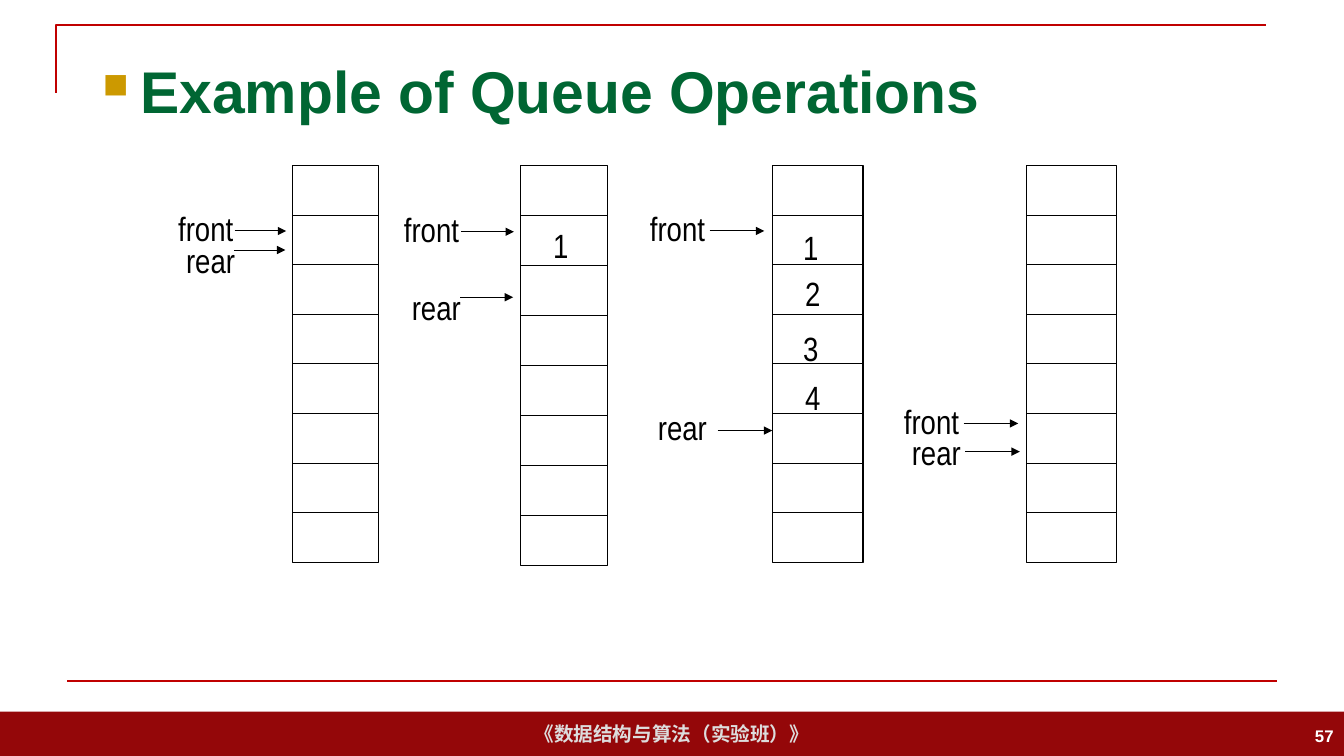
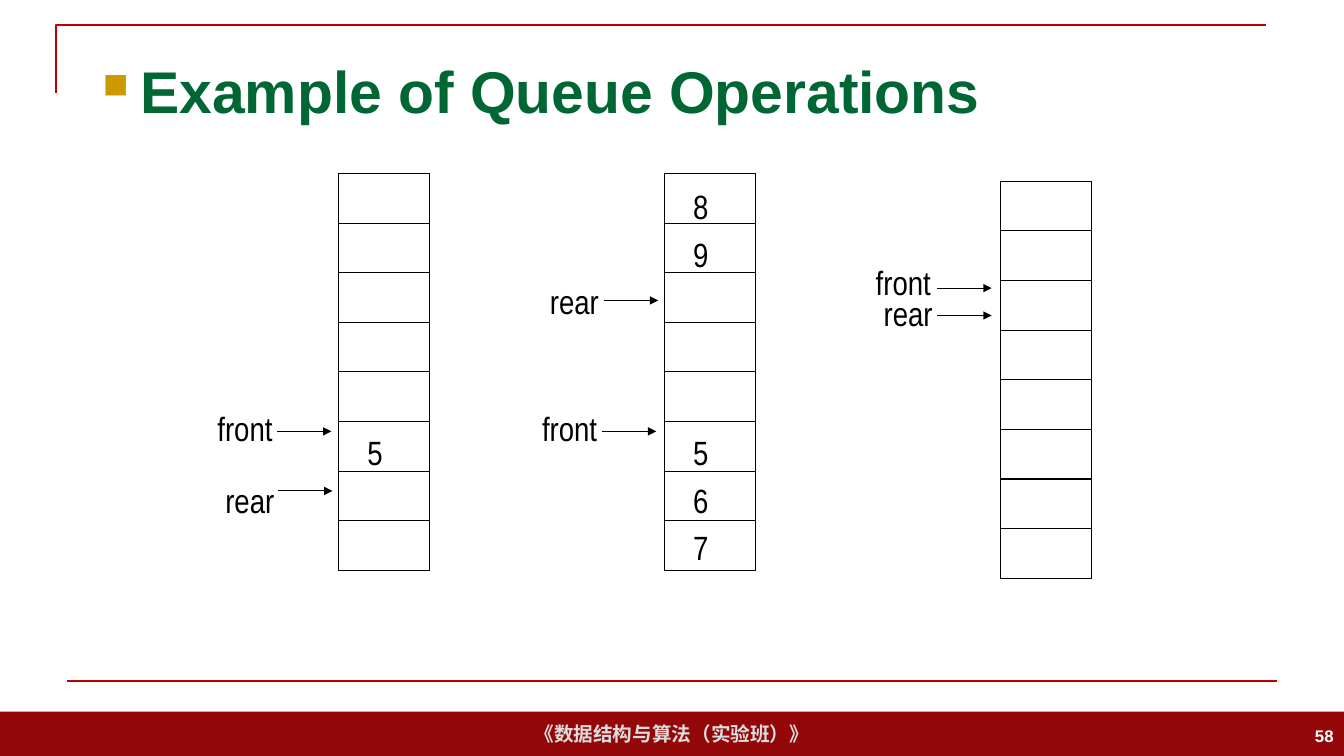
from dataclasses import dataclass

from lxml import etree
from pptx import Presentation
from pptx.dml.color import RGBColor
from pptx.enum.shapes import MSO_CONNECTOR, MSO_SHAPE
from pptx.enum.text import MSO_ANCHOR, PP_ALIGN
from pptx.oxml.ns import qn
from pptx.util import Cm, Pt

RECTANGLE = MSO_SHAPE.RECTANGLE
STRAIGHT = MSO_CONNECTOR.STRAIGHT
MIDDLE, TOP = MSO_ANCHOR.MIDDLE, MSO_ANCHOR.TOP
LEFT, CENTER, RIGHT = PP_ALIGN.LEFT, PP_ALIGN.CENTER, PP_ALIGN.RIGHT


@dataclass(frozen=True)
class TextStyle:
    size: float
    color: str
    font: str = "Arial"
    bold: bool = True


@dataclass(frozen=True)
class Theme:
    band: str = "940709"
    rule: str = "C00000"
    ink: str = "000000"
    bullet: str = "CC9900"
    rule_width: float = 1.5
    ink_width: float = 0.75
    title: TextStyle = TextStyle(42, "006633")
    footer: TextStyle = TextStyle(14, "DDDDDD")
    page: TextStyle = TextStyle(12, "FFFFFF")
    label: TextStyle = TextStyle(24, "000000", "Arial Narrow", False)


THEME = Theme()
SLIDE_W, SLIDE_H = 33.87, 19.05
TITLE = "Example of Queue Operations"
COURSE = "《数据结构与算法（实验班）》"
CELLS = 8
REAR_INDENT = 0.2
ARROW_RATIO = 0.6  # arrow length relative to the queue width


@dataclass(frozen=True)
class Pointer:
    name: str
    text_top: float
    arrow_y: float
    gap: float  # from the arrowhead to the queue


@dataclass(frozen=True)
class Queue:
    left: float
    top: float
    width: float
    label_reach: float  # from the "front" label to the queue
    pointers: tuple
    items: tuple = ()  # (text, offset from the queue's left, top)
    cell: float = 1.25


# Queue states, one tuple per slide; lengths in centimetres
FIRST_STATES = (
    Queue(7.37, 4.17, 2.16, 3.13,
          (Pointer("front", 5.11, 5.82, 0.16), Pointer("rear", 5.92, 6.3, 0.18))),
    Queue(13.11, 4.17, 2.21, 3.18,
          (Pointer("front", 5.13, 5.84, 0.16), Pointer("rear", 7.11, 7.49, 0.18)),
          (("1", 0.58, 5.54),), 1.26),
    Queue(19.46, 4.17, 2.29, 3.33,
          (Pointer("front", 5.11, 5.82, 0.2), Pointer("rear", 10.13, 10.85, 0)),
          (("1", 0.53, 5.59), ("2", 0.58, 6.76),
           ("3", 0.53, 8.13), ("4", 0.58, 9.37))),
    Queue(25.86, 4.17, 2.29, 3.33,
          (Pointer("front", 9.98, 10.67, 0.2), Pointer("rear", 10.77, 11.38, 0.16))),
)
LAST_STATES = (
    Queue(8.53, 4.37, 2.29, 3.3,
          (Pointer("front", 10.16, 10.87, 0.18), Pointer("rear", 11.96, 12.37, 0.15)),
          (("5", 0.48, 10.77),)),
    Queue(16.74, 4.37, 2.29, 3.33,
          (Pointer("front", 10.16, 10.87, 0.2), Pointer("rear", 6.96, 7.57, 0.15)),
          (("8", 0.48, 4.57), ("9", 0.48, 5.77), ("5", 0.48, 10.77),
           ("6", 0.48, 11.96), ("7", 0.48, 13.16))),
    Queue(25.22, 4.57, 2.29, 3.4,
          (Pointer("front", 6.48, 7.26, 0.23), Pointer("rear", 7.26, 7.95, 0.23))),
)


def rgb(color):
    return RGBColor.from_string(color)


def set_line(shape, color, width):
    shape.line.color.rgb = rgb(color)
    shape.line.width = Pt(width)


def write(frame, text, style, align=LEFT, anchor=TOP, wrap=True):
    frame.word_wrap = wrap
    frame.vertical_anchor = anchor
    paragraph = frame.paragraphs[0]
    paragraph.text = text
    paragraph.alignment = align
    font = paragraph.font
    font.name, font.size, font.bold = style.font, Pt(style.size), style.bold
    font.color.rgb = rgb(style.color)
    return paragraph


def add_text(shapes, box, text, style, **layout):
    frame = shapes.add_textbox(*map(Cm, box)).text_frame
    return write(frame, text, style, **layout)


def add_line(shapes, start, end, color, width, arrow=False):
    line = shapes.add_connector(STRAIGHT, *map(Cm, start + end))
    set_line(line, color, width)
    if arrow:
        etree.SubElement(line.line._get_or_add_ln(), qn("a:tailEnd"), type="triangle")
    etree.SubElement(line._element.spPr, qn("a:effectLst"))


def add_square_bullet(paragraph):
    properties = paragraph._p.get_or_add_pPr()
    properties.set("marL", str(Cm(0.95)))
    properties.set("indent", str(-Cm(0.95)))
    color = etree.Element(qn("a:buClr"))
    etree.SubElement(color, qn("a:srgbClr"), val=THEME.bullet)
    marks = (color,
             etree.Element(qn("a:buSzPct"), val="60000"),
             etree.Element(qn("a:buFont"), typeface="Wingdings"),
             etree.Element(qn("a:buChar"), char="n"))
    for position, mark in enumerate(marks):
        properties.insert(position, mark)


def add_frame(slide, page):
    shapes = slide.shapes
    # Footer band
    band = shapes.add_shape(RECTANGLE, *map(Cm, (0, 17.93, SLIDE_W, 1.12)))
    band.shadow.inherit = False
    band.fill.solid()
    band.fill.fore_color.rgb = rgb(THEME.band)
    band.line.fill.background()
    write(band.text_frame, COURSE, THEME.footer, CENTER, MIDDLE, wrap=False)
    # Corner rule and bottom rule
    outline = shapes.build_freeform(Cm(1.42), Cm(2.34))
    outline.add_line_segments([(Cm(1.42), Cm(0.63)), (Cm(31.9), Cm(0.63))], close=False)
    corner = outline.convert_to_shape()
    corner.shadow.inherit = False
    corner.fill.background()
    set_line(corner, THEME.rule, THEME.rule_width)
    add_line(shapes, (1.7, 17.15), (32.18, 17.15), THEME.rule, THEME.rule_width)
    # Title and page number
    title = add_text(shapes, (2.34, 1.02, 29.21, 2.51), TITLE, THEME.title, anchor=MIDDLE)
    add_square_bullet(title)
    add_text(shapes, (26.24, 18.03, 7.62, 1.02), str(page), THEME.page,
             align=RIGHT, anchor=MIDDLE)


def add_queue(slide, queue):
    shapes = slide.shapes.add_group_shape().shapes
    # Cells
    column = shapes.add_shape(RECTANGLE, Cm(queue.left), Cm(queue.top),
                              Cm(queue.width), Cm(CELLS * queue.cell))
    column.shadow.inherit = False
    column.fill.background()
    set_line(column, THEME.ink, THEME.ink_width)
    for index in range(1, CELLS):
        y = queue.top + index * queue.cell
        add_line(shapes, (queue.left, y), (queue.left + queue.width, y),
                 THEME.ink, THEME.ink_width)
    # Stored items
    for text, offset, top in queue.items:
        add_text(shapes, (queue.left + offset, top, 1.2, 1.28), text, THEME.label)
    # Front and rear pointers
    for pointer in queue.pointers:
        indent = REAR_INDENT if pointer.name == "rear" else 0
        label_left = queue.left - queue.label_reach + indent
        add_text(shapes, (label_left, pointer.text_top, 2.16, 1.28),
                 pointer.name, THEME.label)
        tip = queue.left - pointer.gap
        add_line(shapes, (tip - ARROW_RATIO * queue.width, pointer.arrow_y),
                 (tip, pointer.arrow_y), THEME.ink, THEME.ink_width, arrow=True)


def main():
    deck = Presentation()
    deck.slide_width, deck.slide_height = Cm(SLIDE_W), Cm(SLIDE_H)
    blank = deck.slide_layouts[6]
    for page, states in enumerate((FIRST_STATES, LAST_STATES), start=57):
        slide = deck.slides.add_slide(blank)
        add_frame(slide, page)
        for queue in states:
            add_queue(slide, queue)
    deck.save("out.pptx")


if __name__ == "__main__":
    main()
